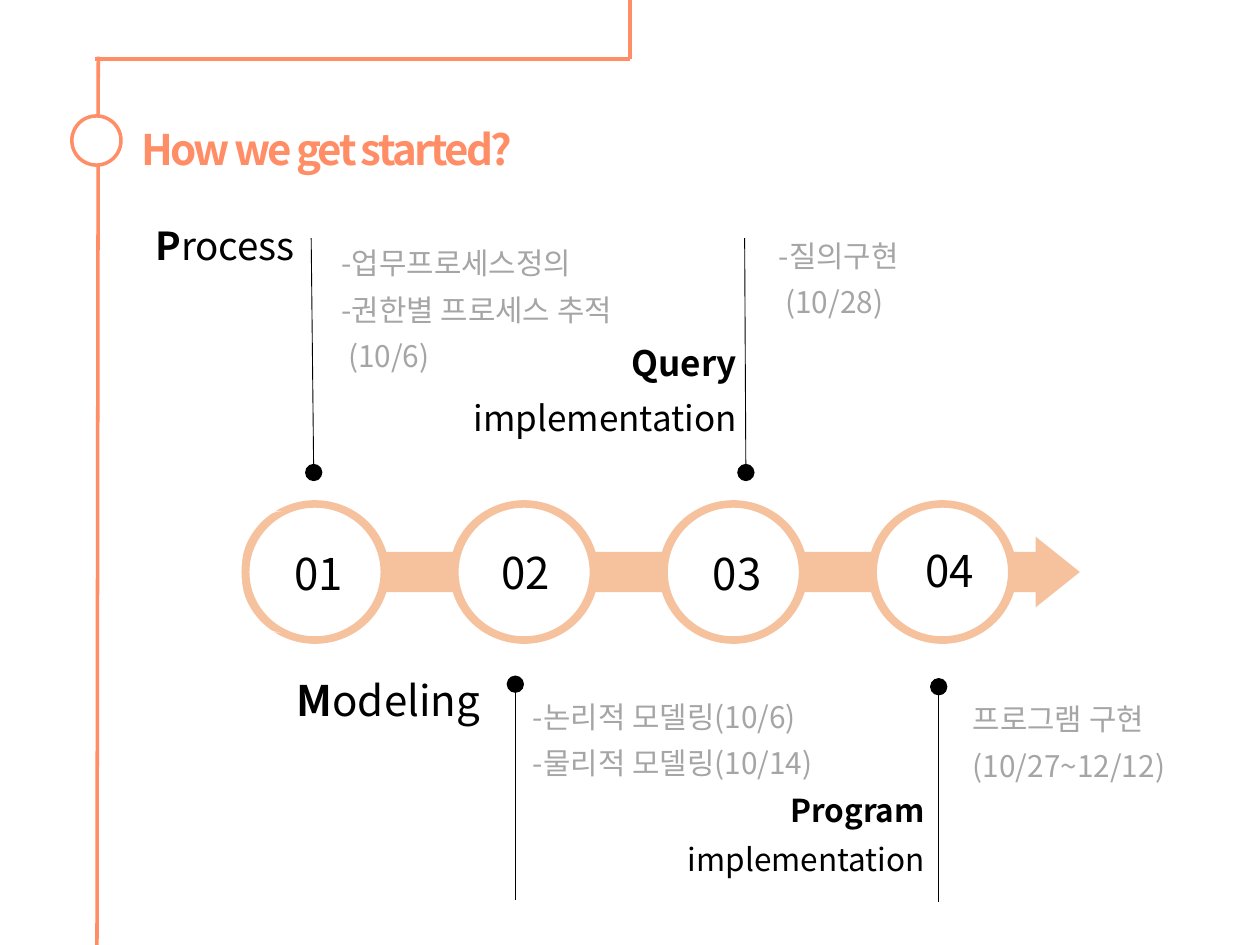
from math import asin, cos, pi, sin, tan

from lxml.etree import SubElement
from pptx import Presentation
from pptx.dml.color import RGBColor
from pptx.enum.shapes import MSO_CONNECTOR as Connector, MSO_SHAPE as Shape
from pptx.enum.text import MSO_ANCHOR as Anchor, MSO_AUTO_SIZE as AutoSize, PP_ALIGN as Align
from pptx.oxml.ns import qn
from pptx.util import Inches, Pt

FONT = "Noto Sans CJK KR"
COLORS = {"coral": "FF8D65", "arrow": "EB6C17", "black": "000000",
          "gray": "A5A5A5", "white": "FFFFFF"}

# Timeline arrow with four rings
CENTERS = [2.5 + 1.66 * step for step in range(4)]
AXIS_Y = 4.54
RING_RX, RING_RY = 0.59, 0.57
HOLE_RX, HOLE_RY = 0.52, 0.51
BAR_HALF, HEAD_HALF = 0.16, 0.28
TAIL_X, TAIL_BASE, HEAD_BASE, HEAD_X = 1.42, 1.78, 8.22, 8.57
UNITS = 1000  # outline units in an inch

NUMBERS = [("01", 1.97, 4.29), ("02", 3.61, 4.28), ("03", 5.29, 4.29), ("04", 6.98, 4.27)]

# box, size, bold part, regular part
LABELS = [
    ((0.82, 1.55, 1.72, 0.88), 22, "P", "rocess"),
    ((1.96, 5.13, 2.05, 0.88), 24, "M", "odeling"),
    ((3, 2.51, 3.05, 0.88), 20, "Query ", "implementation"),
    ((4.53, 6.09, 3.01, 0.88), 18, "Program ", "implementation"),
]

# left, top, lines
DETAILS = [
    (2.51, 1.76, ["-업무프로세스정의", "-권한별 프로세스 추적", " (10/6)"]),
    (4.03, 5.36, ["-논리적 모델링(10/6)", "-물리적 모델링(10/14)"]),
    (5.98, 1.7, ["-질의구현", " (10/28)"]),
    (7.52, 5.38, ["프로그램 구현", "(10/27~12/12)"]),
]

# Each pin runs from its free end to its dot
PINS = [(2.47, 1.89, 2.49, 3.75), (4.09, 7.14, 4.09, 5.43),
        (5.91, 1.89, 5.92, 3.75), (7.45, 7.16, 7.45, 5.45)]
FRAME_LINES = [(0.75, 0.47, 5, 0.47), (5, 0, 5, 0.47), (0.78, 0.45, 0.77, 7.5)]


def rgb(name):
    return RGBColor.from_string(COLORS[name])


def place(shape, left, top, width, height):
    shape.left, shape.top = Inches(left), Inches(top)
    shape.width, shape.height = Inches(width), Inches(height)


def set_frame(shape, inset_x=0.1, inset_y=0.05):
    frame = shape.text_frame
    frame.word_wrap = True
    frame.auto_size = AutoSize.NONE
    frame.vertical_anchor = Anchor.TOP
    frame.margin_left = frame.margin_right = Inches(inset_x)
    frame.margin_top = frame.margin_bottom = Inches(inset_y)
    return frame


def add_run(paragraph, text, size, color, bold=False):
    run = paragraph.add_run()
    run.text = text
    font = run.font
    font.name, font.size, font.bold = FONT, Pt(size), bold
    font.color.rgb = rgb(color)
    SubElement(font._element, qn("a:ea")).set("typeface", FONT)
    return run


def fill_title(title):
    place(title, 1.02, 0.93, 4.31, 0.49)
    paragraph = set_frame(title).paragraphs[0]
    paragraph.alignment = Align.LEFT
    run = add_run(paragraph, "How we get started?", 24, "coral", True)
    run.font._element.set("spc", "-150")


def fill_detail(placeholder, left, top, lines):
    place(placeholder, left, top, 2.85, 1.15)
    frame = set_frame(placeholder, 0.2, 0.1)
    for index, line in enumerate(lines):
        paragraph = frame.add_paragraph() if index else frame.paragraphs[0]
        paragraph.line_spacing = 1.3
        paragraph.space_before = Pt(0)
        properties = paragraph._p.get_or_add_pPr()
        properties.set("marL", "0")
        properties.set("indent", "0")
        SubElement(properties, qn("a:buNone"))
        add_run(paragraph, line, 17, "gray")


def add_label(slide, box, size, strong, regular):
    textbox = slide.shapes.add_textbox(*map(Inches, box))
    paragraph = set_frame(textbox, 0.2, 0.1).paragraphs[0]
    paragraph.alignment = Align.RIGHT
    paragraph.line_spacing = 1.3
    add_run(paragraph, strong, size, "black", True)
    add_run(paragraph, regular, size, "black")


def add_number(slide, text, left, top):
    textbox = slide.shapes.add_textbox(*map(Inches, (left, top, 1.12, 0.51)))
    paragraph = set_frame(textbox).paragraphs[0]
    paragraph.alignment = Align.CENTER
    add_run(paragraph, text, 25, "black")


def add_line(slide, ends, color, width, dot=False):
    line = slide.shapes.add_connector(Connector.STRAIGHT, *map(Inches, ends))
    line.line.color.rgb = rgb(color)
    line.line.width = Pt(width)
    if dot:
        tail = SubElement(line.line._get_or_add_ln(), qn("a:tailEnd"))
        for key, value in (("type", "oval"), ("w", "lg"), ("len", "lg")):
            tail.set(key, value)
    SubElement(line._element.spPr, qn("a:effectLst"))


def add_white_shape(slide, kind, box, outline=None):
    shape = slide.shapes.add_shape(kind, *map(Inches, box))
    shape.shadow.inherit = False
    shape.fill.solid()
    shape.fill.fore_color.rgb = rgb("white")
    if outline:
        shape.line.color.rgb = rgb(outline)
        shape.line.width = Pt(2)
    else:
        shape.line.fill.background()


def arc(center, rx, ry, *angles):
    """Cubic control points through the angles, without the starting point."""
    points = []
    for start, end in zip(angles, angles[1:]):
        pull = 4 / 3 * tan((end - start) / 4)
        for x, y in ((cos(start) - pull * sin(start), sin(start) + pull * cos(start)),
                     (cos(end) + pull * sin(end), sin(end) - pull * cos(end)),
                     (cos(end), sin(end))):
            points.append((center + rx * x, AXIS_Y - ry * y))
    return points


def straight(start, *ends):
    """Straight edges written as cubic control points."""
    points = []
    for end in ends:
        points += [start, end, end]
        start = end
    return points


def arrow_outline():
    joint = asin(BAR_HALF / RING_RY)
    bar_top, head_top = AXIS_Y - BAR_HALF, AXIS_Y - HEAD_HALF
    reach = RING_RX * cos(joint)
    upper = [(TAIL_X, AXIS_Y)]
    upper += straight(upper[-1], (TAIL_BASE, head_top), (TAIL_BASE, bar_top))
    for center in CENTERS:
        upper += straight(upper[-1], (center - reach, bar_top))
        upper += arc(center, RING_RX, RING_RY, pi - joint, pi / 2, joint)
    upper += straight(upper[-1], (HEAD_BASE, bar_top), (HEAD_BASE, head_top), (HEAD_X, AXIS_Y))
    lower = [(x, 2 * AXIS_Y - y) for x, y in reversed(upper[:-1])]
    return upper + lower


def make_curves(shape):
    """Join every three line points into one cubic curve."""
    lines = list(shape._element.iter(qn("a:lnTo")))
    for first, second, third in zip(lines[::3], lines[1::3], lines[2::3]):
        curve = first.makeelement(qn("a:cubicBezTo"))
        first.addprevious(curve)
        for line in (first, second, third):
            curve.append(line[0])
            line.getparent().remove(line)


def add_timeline_arrow(slide):
    quarters = [quarter * pi / 2 for quarter in range(5)]
    holes = [[(center + HOLE_RX, AXIS_Y)] + arc(center, HOLE_RX, HOLE_RY, *quarters)
             for center in CENTERS]
    builder = slide.shapes.build_freeform(TAIL_X * UNITS, AXIS_Y * UNITS, scale=Inches(1) / UNITS)
    for index, contour in enumerate([arrow_outline()] + holes):
        points = [(x * UNITS, y * UNITS) for x, y in contour]
        if index:
            builder.move_to(*points[0])
        builder.add_line_segments(points[1:], close=True)
    arrow = builder.convert_to_shape()
    make_curves(arrow)
    arrow.shadow.inherit = False
    arrow.line.fill.background()
    arrow.fill.solid()
    arrow.fill.fore_color.rgb = rgb("arrow")
    color = arrow._element.spPr.find(".//" + qn("a:srgbClr"))
    SubElement(color, qn("a:alpha")).set("val", "42000")


def main():
    presentation = Presentation()
    presentation.slide_width, presentation.slide_height = Inches(10), Inches(7.5)
    slide = presentation.slides.add_slide(presentation.slide_layouts[4])
    fill_title(slide.shapes.title)
    for index, detail in enumerate(DETAILS, start=1):
        fill_detail(slide.placeholders[index], *detail)
    add_timeline_arrow(slide)
    add_white_shape(slide, Shape.FLOWCHART_STORED_DATA, (0.35, 4.06, 1.88, 0.96))
    for number in NUMBERS:
        add_number(slide, *number)
    for label in LABELS:
        add_label(slide, *label)
    for pin in PINS:
        add_line(slide, pin, "black", 0.5, dot=True)
    for frame_line in FRAME_LINES:
        add_line(slide, frame_line, "coral", 2)
    add_white_shape(slide, Shape.OVAL, (0.57, 0.92, 0.39, 0.39), "coral")
    presentation.save("out.pptx")


if __name__ == "__main__":
    main()
